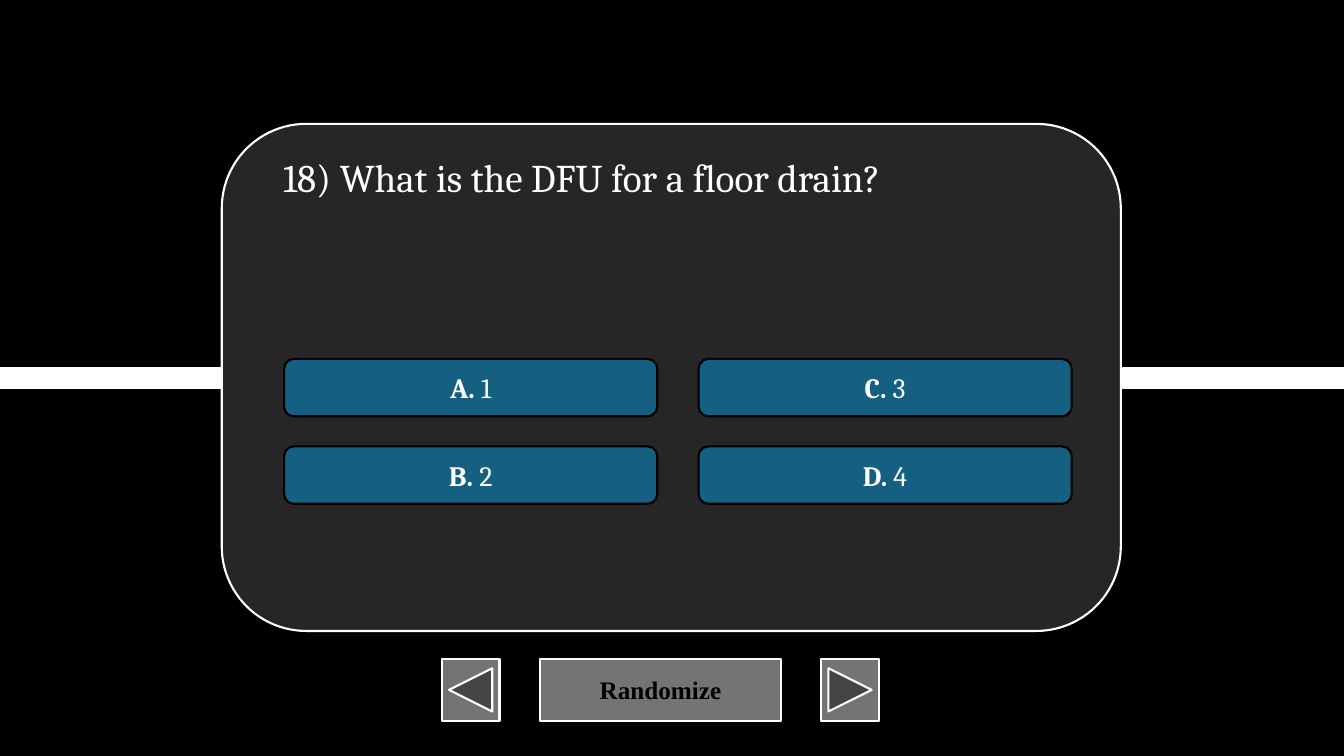
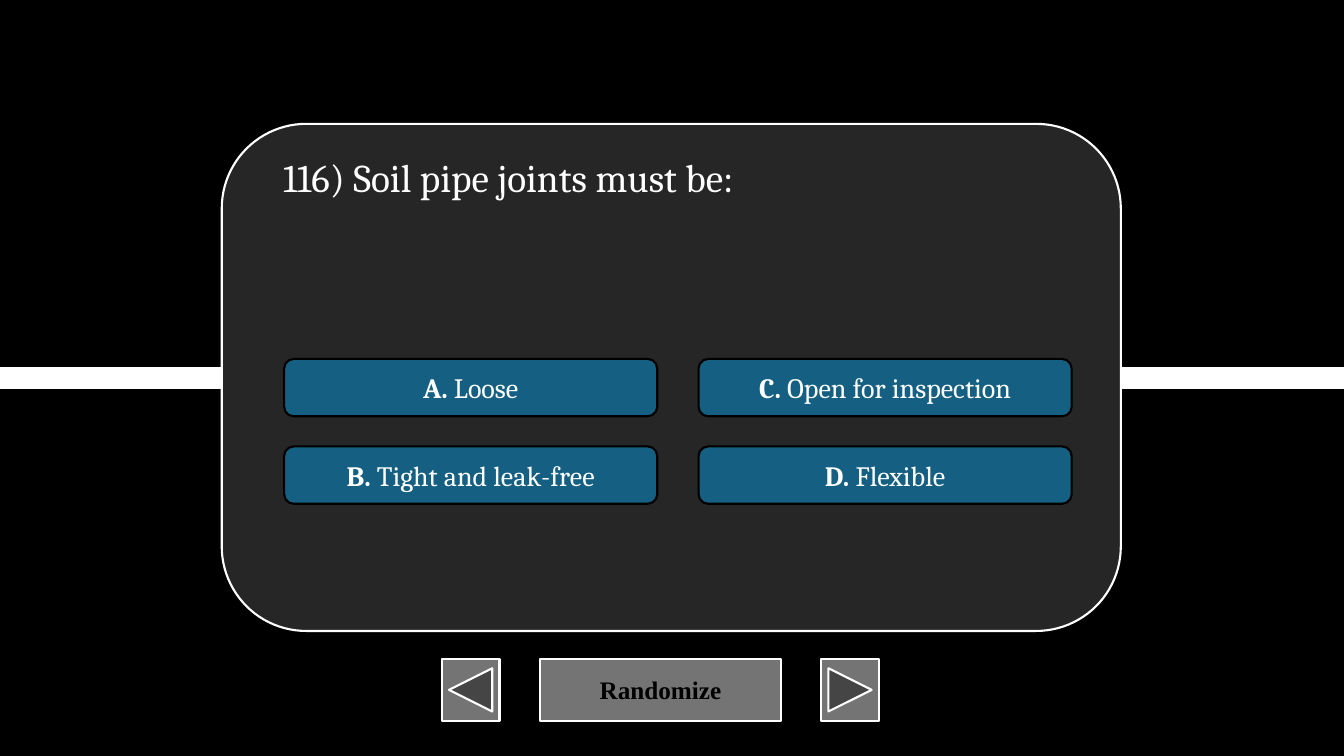
"""Build two multiple-choice quiz slides with shared navigation buttons."""
from dataclasses import dataclass
from typing import NamedTuple

import pptx
import pptx.dml.color
import pptx.enum.shapes
import pptx.enum.text
import pptx.oxml.xmlchemy
import pptx.util
from lxml import etree

Pt = pptx.util.Pt
RGB = pptx.dml.color.RGBColor
SHAPE = pptx.enum.shapes.MSO_SHAPE
ALIGN = pptx.enum.text.PP_ALIGN
A_NS = "http://schemas.openxmlformats.org/drawingml/2006/main"


@dataclass(frozen=True)
class Theme:
    black: RGB = RGB(0x00, 0x00, 0x00)
    white: RGB = RGB(0xFF, 0xFF, 0xFF)
    card: RGB = RGB(0x26, 0x26, 0x26)
    option: RGB = RGB(0x15, 0x60, 0x82)
    button: RGB = RGB(0x74, 0x74, 0x74)
    body_font: str = "Cambria"
    button_font: str = "Times New Roman"
    question_size: float = 28
    option_size: float = 20
    button_size: float = 18
    outline: float = 1.5
    band: float = 16


class Box(NamedTuple):
    left: float
    top: float
    width: float
    height: float

    def lengths(self) -> list:
        return [Pt(v) for v in self]


class Button(NamedTuple):
    kind: SHAPE
    left: float
    width: float
    label: str = ""


class Question(NamedTuple):
    text: str
    options: tuple


THEME = Theme()
WIDTH, HEIGHT = 960, 540
CARD = Box(158.4, 88.5, 642.2, 362.2)
QUESTION_BOX = Box(195.1, 105.8, 570.2, 41)
FIRST_OPTION = Box(203, 256.4, 266.5, 41)
COLUMN_STEP, ROW_STEP, ROWS = 296, 62.5, 2
BUTTON_TOP, BUTTON_HEIGHT = 470.8, 44
BUTTONS = (
    Button(SHAPE.ACTION_BUTTON_CUSTOM, 385.8, 172, "Randomize"),
    Button(SHAPE.ACTION_BUTTON_BACK_OR_PREVIOUS, 315.6, 41.2),
    Button(SHAPE.ACTION_BUTTON_FORWARD_OR_NEXT, 586.6, 41.2),
)
QUESTIONS = (
    Question("18) What is the DFU for a floor drain?", ("1", "2", "3", "4")),
    Question("116) Soil pipe joints must be:",
             ("Loose", "Tight and leak-free", "Open for inspection", "Flexible")),
)


def set_font(p, name: str, size: float, color: RGB) -> None:
    p.font.name = name
    p.font.size = Pt(size)
    p.font.color.rgb = color


def add_panel(s, kind: SHAPE, box: Box, fill: RGB, line: RGB):
    sp = s.shapes.add_shape(kind, *box.lengths())
    sp.shadow.inherit = False
    sp.fill.solid()
    sp.fill.fore_color.rgb = fill
    sp.line.color.rgb = line
    sp.line.width = Pt(THEME.outline)
    return sp


def add_band(s) -> None:
    middle = Pt(HEIGHT / 2)
    line = s.shapes.add_connector(pptx.enum.shapes.MSO_CONNECTOR.STRAIGHT,
                                  0, middle, Pt(WIDTH), middle)
    line.line.color.rgb = THEME.white
    line.line.width = Pt(THEME.band)
    etree.SubElement(line._element.spPr, f"{{{A_NS}}}effectLst")


def add_button(s, button: Button) -> None:
    box = Box(button.left, BUTTON_TOP, button.width, BUTTON_HEIGHT)
    sp = add_panel(s, button.kind, box, THEME.button, THEME.white)
    if button.label:
        p = sp.text_frame.paragraphs[0]
        p.alignment = ALIGN.CENTER
        p.add_run().text = button.label
        set_font(p, THEME.button_font, THEME.button_size, THEME.black)
        p.font.bold = True


def add_option(s, index: int, text: str) -> None:
    column, row = divmod(index, ROWS)
    box = FIRST_OPTION._replace(left=FIRST_OPTION.left + column * COLUMN_STEP,
                                top=FIRST_OPTION.top + row * ROW_STEP)
    sp = add_panel(s, SHAPE.ROUNDED_RECTANGLE, box, THEME.option, THEME.black)
    p = sp.text_frame.paragraphs[0]
    p.alignment = ALIGN.CENTER
    letter = p.add_run()
    letter.text = f"{'ABCD'[index]}. "
    letter.font.bold = True
    p.add_run().text = text
    set_font(p, THEME.body_font, THEME.option_size, THEME.white)


def add_question(s, text: str) -> None:
    tf = s.shapes.add_textbox(*QUESTION_BOX.lengths()).text_frame
    tf.word_wrap = True
    tf.auto_size = pptx.enum.text.MSO_AUTO_SIZE.SHAPE_TO_FIT_TEXT
    p = tf.paragraphs[0]
    p.add_run().text = text
    set_font(p, THEME.body_font, THEME.question_size, THEME.white)


def add_quiz_slide(prs, question: Question) -> None:
    s = prs.slides.add_slide(prs.slide_layouts[6])
    add_band(s)
    for button in BUTTONS:
        add_button(s, button)
    add_panel(s, SHAPE.ROUNDED_RECTANGLE, CARD, THEME.card, THEME.white)
    for index, text in enumerate(question.options):
        add_option(s, index, text)
    add_question(s, question.text)


def main() -> None:
    prs = pptx.Presentation()
    prs.slide_width, prs.slide_height = Pt(WIDTH), Pt(HEIGHT)
    background = prs.slide_master.background.fill
    background.solid()
    background.fore_color.rgb = THEME.black
    for question in QUESTIONS:
        add_quiz_slide(prs, question)
    prs.save("out.pptx")


if __name__ == "__main__":
    main()
